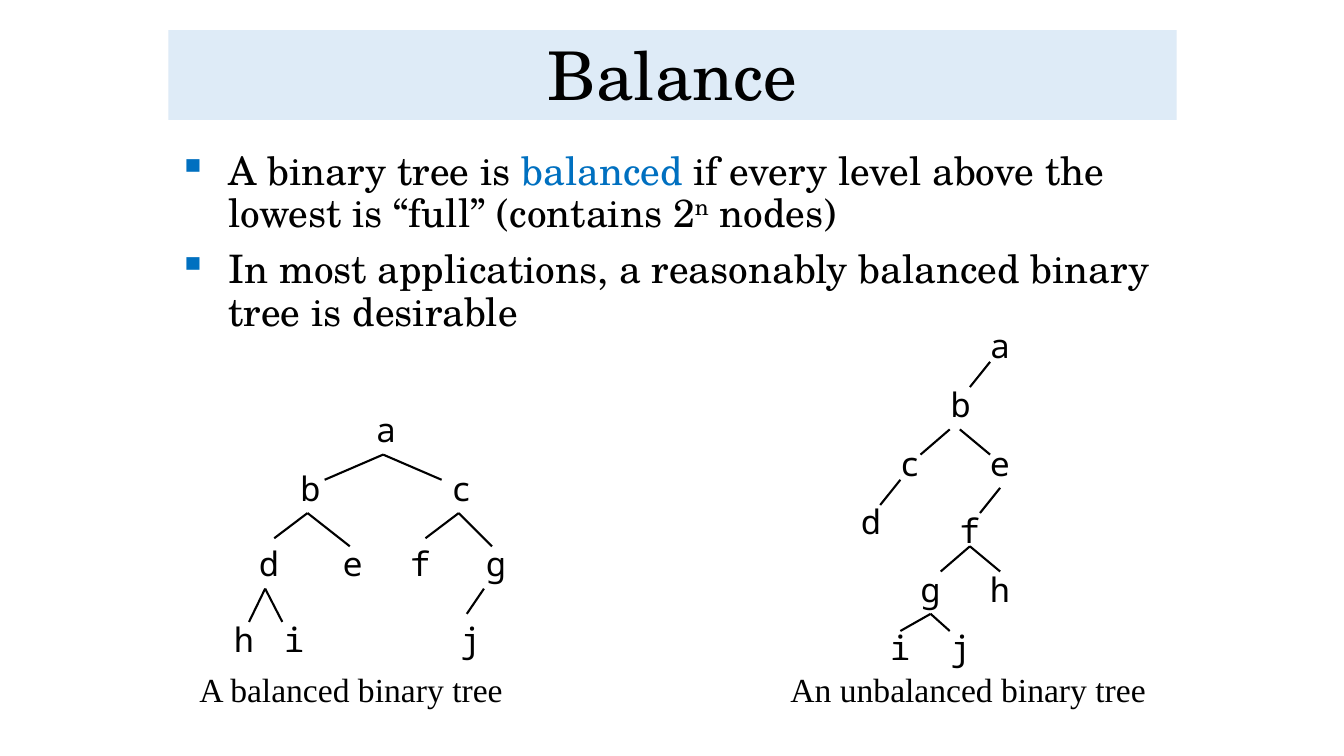
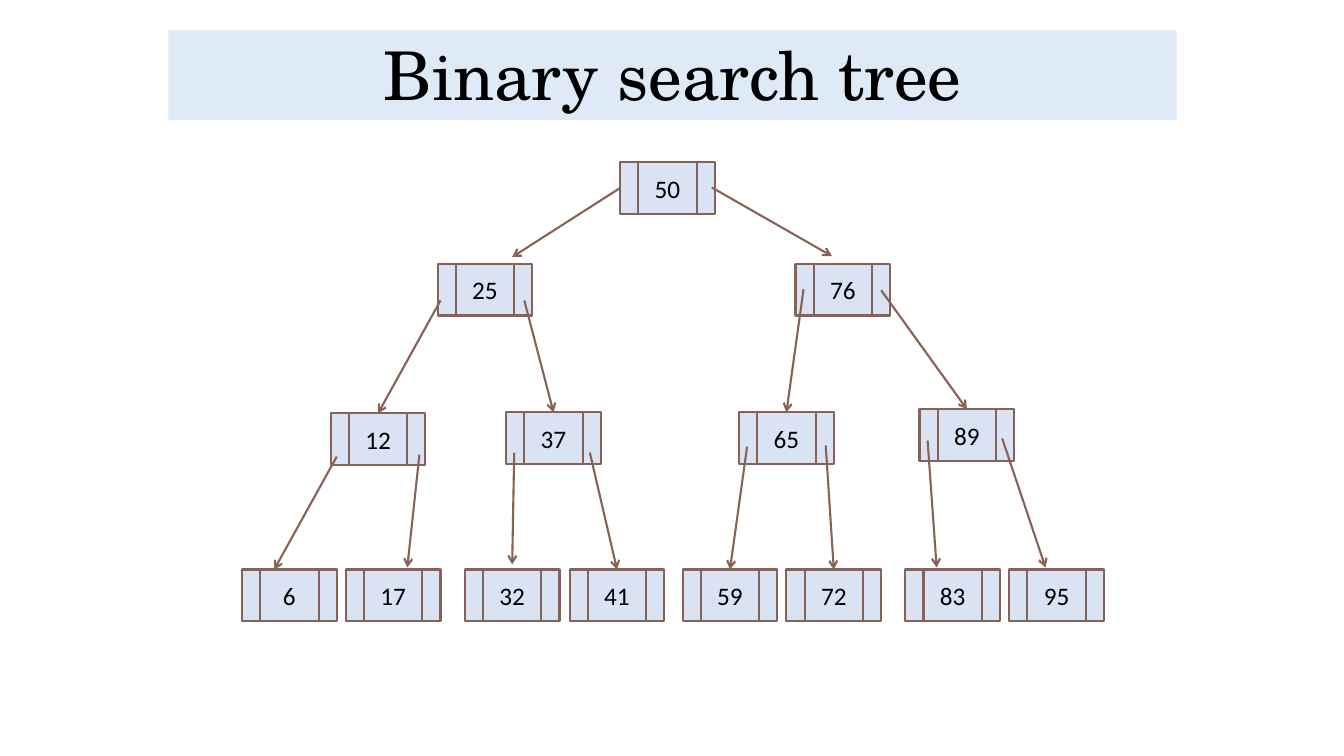
from dataclasses import dataclass
from typing import Any, NamedTuple, Optional

from lxml.etree import SubElement
from pptx import Presentation
from pptx.dml.color import RGBColor
from pptx.enum.shapes import MSO_CONNECTOR, MSO_SHAPE
from pptx.enum.text import MSO_ANCHOR, PP_ALIGN
from pptx.oxml.ns import qn
from pptx.shapes.autoshape import Shape
from pptx.shapes.connector import Connector
from pptx.shapes.shapetree import GroupShapes
from pptx.slide import Slide
from pptx.util import Inches, Pt

Point = tuple[float, float]


@dataclass(frozen=True)
class Theme:
    black: str = "000000"
    blue: str = "0070C0"
    band: str = "DEEBF7"
    cell: str = "DAE3F3"
    brown: str = "886254"
    serif: str = "TeX Gyre Schola"
    mono: str = "Noto Sans Mono"
    times: str = "Times New Roman"
    sans: str = "Calibri"
    title: int = 48
    body: int = 28
    label: int = 24
    key: int = 18
    stroke: float = 1.5


class Tree(NamedTuple):
    """A lettered tree: label places, forks (top, ends) and a caption."""
    width: float
    labels: dict[str, Point]
    forks: list[tuple[Point, list[Point]]]
    name: str
    left: float
    span: float


class Arrow(NamedTuple):
    """No start means the left side's middle; no end means the top's middle."""
    parent: int
    child: int
    start: Optional[Point] = None
    end: Optional[Point] = None


class Piece(NamedTuple):
    text: str
    color: str
    raised: bool = False


THEME = Theme()
BOX_W, BOX_H, SLOT = 0.94, 0.51, 0.18
CAPTION_Y, LABEL_H = 6.59, 0.5

TREES = [
    Tree(
        0.42,
        {"a": (3.63, 4.01), "b": (2.88, 4.59), "c": (4.38, 4.59),
         "d": (2.47, 5.34), "e": (3.3, 5.34), "f": (3.97, 5.34),
         "g": (4.72, 5.34), "h": (2.22, 6.09), "i": (2.72, 6.09),
         "j": (4.47, 6.09)},
        [((3.8, 4.51), [(3.22, 4.76), (4.38, 4.76)]),
         ((3.05, 5.09), [(2.72, 5.34), (3.47, 5.42)]),
         ((4.55, 5.09), [(4.22, 5.34), (4.88, 5.42)]),
         ((2.63, 5.84), [(2.47, 6.17), (2.8, 6.17)]),
         ((4.8, 5.84), [(4.63, 6.09)])],
        "A balanced binary tree", 1.88, 3.42),
    Tree(
        0.49,
        {"a": (9.72, 3.17), "b": (9.33, 3.76), "c": (8.83, 4.34),
         "d": (8.44, 4.92), "e": (9.72, 4.34), "f": (9.42, 5.01),
         "g": (9.03, 5.59), "h": (9.72, 5.59), "i": (8.73, 6.17),
         "j": (9.33, 6.17)},
        [((9.82, 3.59), [(9.62, 3.84)]),
         ((9.42, 4.26), [(9.13, 4.51)]),
         ((8.93, 4.76), [(8.73, 5.01)]),
         ((9.52, 4.26), [(9.82, 4.51)]),
         ((9.92, 4.84), [(9.72, 5.09)]),
         ((9.62, 5.42), [(9.33, 5.67), (9.92, 5.67)]),
         ((9.23, 6.09), [(8.93, 6.26), (9.42, 6.26)])],
        "An unbalanced binary tree", 7.74, 4.45),
]

POINTS = [
    [Piece("A binary tree is ", THEME.black),
     Piece("balanced ", THEME.blue),
     Piece("if every level above the lowest is “full” (contains 2",
           THEME.black),
     Piece("n", THEME.black, True),
     Piece(" nodes)", THEME.black)],
    [Piece("In most applications, a reasonably balanced binary tree "
           "is desirable", THEME.black)],
]

NODES: dict[int, Point] = {
    50: (6.15, 1.61), 25: (4.34, 2.62), 76: (7.89, 2.62),
    12: (3.28, 4.1), 37: (5.02, 4.09), 65: (7.33, 4.09), 89: (9.12, 4.06),
    6: (2.4, 5.65), 17: (3.43, 5.65), 32: (4.61, 5.65), 41: (5.65, 5.65),
    59: (6.77, 5.65), 72: (7.8, 5.65), 83: (8.98, 5.65), 95: (10.01, 5.65),
}

ARROWS = [
    Arrow(50, 25, end=(5.08, 2.55)),
    Arrow(50, 76, (7.06, 1.86), (8.25, 2.54)),
    Arrow(76, 65, (7.97, 2.87)),
    Arrow(76, 89, (8.74, 2.88)),
    Arrow(25, 12, (4.37, 2.98)),
    Arrow(25, 37, (5.2, 2.98)),
    Arrow(12, 6, (3.34, 4.53), (2.72, 5.65)),
    Arrow(12, 17, (4.16, 4.51), (4.04, 5.63)),
    Arrow(37, 32, (5.1, 4.49), (5.08, 5.6)),
    Arrow(37, 41, (5.85, 4.49)),
    Arrow(65, 59, (7.41, 4.43)),
    Arrow(65, 72, (8.19, 4.42)),
    Arrow(89, 95, (9.94, 4.35), (10.37, 5.63)),
    Arrow(89, 83, (9.2, 4.37), (9.29, 5.63)),
]


# Shared drawing tools
def apply(target: Any, values: dict[str, Any]) -> None:
    for name, value in values.items():
        setattr(target, name, value)


def add_run(par: Any, text: str, face: str, size: int,
            color: str = THEME.black) -> Any:
    run = par.add_run()
    run.text = text
    apply(run.font, {"name": face, "size": Pt(size)})
    run.font.color.rgb = RGBColor.from_string(color)
    return run


def add_rect(shapes: Any, place: Point, width: float, height: float,
             fill: str, edge: Optional[str] = None) -> Shape:
    rect = shapes.add_shape(MSO_SHAPE.RECTANGLE, *map(
        Inches, (*place, width, height)))
    rect.shadow.inherit = False
    rect.fill.solid()
    rect.fill.fore_color.rgb = RGBColor.from_string(fill)
    if edge:
        rect.line.color.rgb = RGBColor.from_string(edge)
        rect.line.width = Pt(THEME.stroke)
    else:
        rect.line.fill.background()
    return rect


def add_line(shapes: GroupShapes, start: Point, end: Point,
             color: str, arrow: bool = False) -> Connector:
    line = shapes.add_connector(
        MSO_CONNECTOR.STRAIGHT, *map(Inches, (*start, *end)))
    line.line.color.rgb = RGBColor.from_string(color)
    line.line.width = Pt(THEME.stroke)
    props = line._element.spPr
    if arrow:
        SubElement(props.find(qn("a:ln")), qn("a:tailEnd"), type="arrow")
    SubElement(props, qn("a:effectLst"))
    return line


def add_label(shapes: GroupShapes, text: str, place: Point,
              width: float, face: str) -> None:
    box = shapes.add_textbox(*map(Inches, (*place, width, LABEL_H)))
    box.text_frame.word_wrap = True
    add_run(box.text_frame.paragraphs[0], text, face, THEME.label)


def add_title(slide: Slide, text: str) -> None:
    band = add_rect(slide.shapes, (1.67, 0.3), 10, 0.89, THEME.band)
    frame = band.text_frame
    apply(frame, {"vertical_anchor": MSO_ANCHOR.BOTTOM, "word_wrap": True})
    par = frame.paragraphs[0]
    apply(par, {"alignment": PP_ALIGN.CENTER, "line_spacing": 0.9})
    add_run(par, text, THEME.serif, THEME.title)


# Balance slide
def add_points(slide: Slide) -> None:
    box = slide.shapes.add_textbox(*map(Inches, (1.67, 1.45, 9.94, 4.82)))
    frame = box.text_frame
    frame.word_wrap = True
    for i, pieces in enumerate(POINTS):
        par = frame.add_paragraph() if i else frame.paragraphs[0]
        apply(par, {"line_spacing": 0.9, "space_before": Pt(10)})
        props = par._p.get_or_add_pPr()
        props.set("marL", str(Inches(0.5)))
        props.set("indent", str(Inches(-0.5)))
        tint = SubElement(props, qn("a:buClr"))
        SubElement(tint, qn("a:srgbClr"), val=THEME.blue)
        SubElement(props, qn("a:buChar"), char="▪")
        for piece in pieces:
            run = add_run(par, piece.text, THEME.serif, THEME.body,
                          piece.color)
            if piece.raised:
                run.font._element.set("baseline", "30000")


def add_tree(slide: Slide, tree: Tree) -> None:
    shapes = slide.shapes.add_group_shape().shapes
    for text, place in tree.labels.items():
        add_label(shapes, text, place, tree.width, THEME.mono)
    for top, ends in tree.forks:
        for end in ends:
            add_line(shapes, top, end, THEME.black)
    add_label(shapes, tree.name, (tree.left, CAPTION_Y), tree.span,
              THEME.times)


# Search tree slide
def add_node(shapes: GroupShapes, key: int, place: Point) -> Shape:
    box = add_rect(shapes, place, BOX_W, BOX_H, THEME.cell, THEME.brown)
    box.text_frame.vertical_anchor = MSO_ANCHOR.MIDDLE
    par = box.text_frame.paragraphs[0]
    par.alignment = PP_ALIGN.CENTER
    add_run(par, str(key), THEME.sans, THEME.key)
    left, top = place
    for x in (left + SLOT, left + BOX_W - SLOT):
        add_line(shapes, (x, top), (x, top + BOX_H), THEME.brown)
    return box


def add_arrow(shapes: GroupShapes, arrow: Arrow,
              boxes: dict[int, Shape]) -> None:
    left, top = NODES[arrow.parent]
    start = arrow.start or (left, top + BOX_H / 2)
    left, top = NODES[arrow.child]
    end = arrow.end or (left + BOX_W / 2, top)
    line = add_line(shapes, start, end, THEME.brown, True)
    if arrow.start is None:
        line.begin_connect(boxes[arrow.parent], 1)
    if arrow.end is None:
        line.end_connect(boxes[arrow.child], 0)


def add_search(slide: Slide) -> None:
    shapes = slide.shapes.add_group_shape().shapes
    boxes = {key: add_node(shapes, key, place)
             for key, place in NODES.items()}
    for arrow in ARROWS:
        add_arrow(shapes, arrow, boxes)


def main() -> None:
    deck = Presentation()
    apply(deck, {"slide_width": Inches(13.33), "slide_height": Inches(7.5)})
    blank = deck.slide_layouts[6]

    slide = deck.slides.add_slide(blank)
    add_title(slide, "Balance")
    add_points(slide)
    for tree in TREES:
        add_tree(slide, tree)

    slide = deck.slides.add_slide(blank)
    add_title(slide, "Binary search tree")
    add_search(slide)
    deck.save("out.pptx")


if __name__ == "__main__":
    main()
